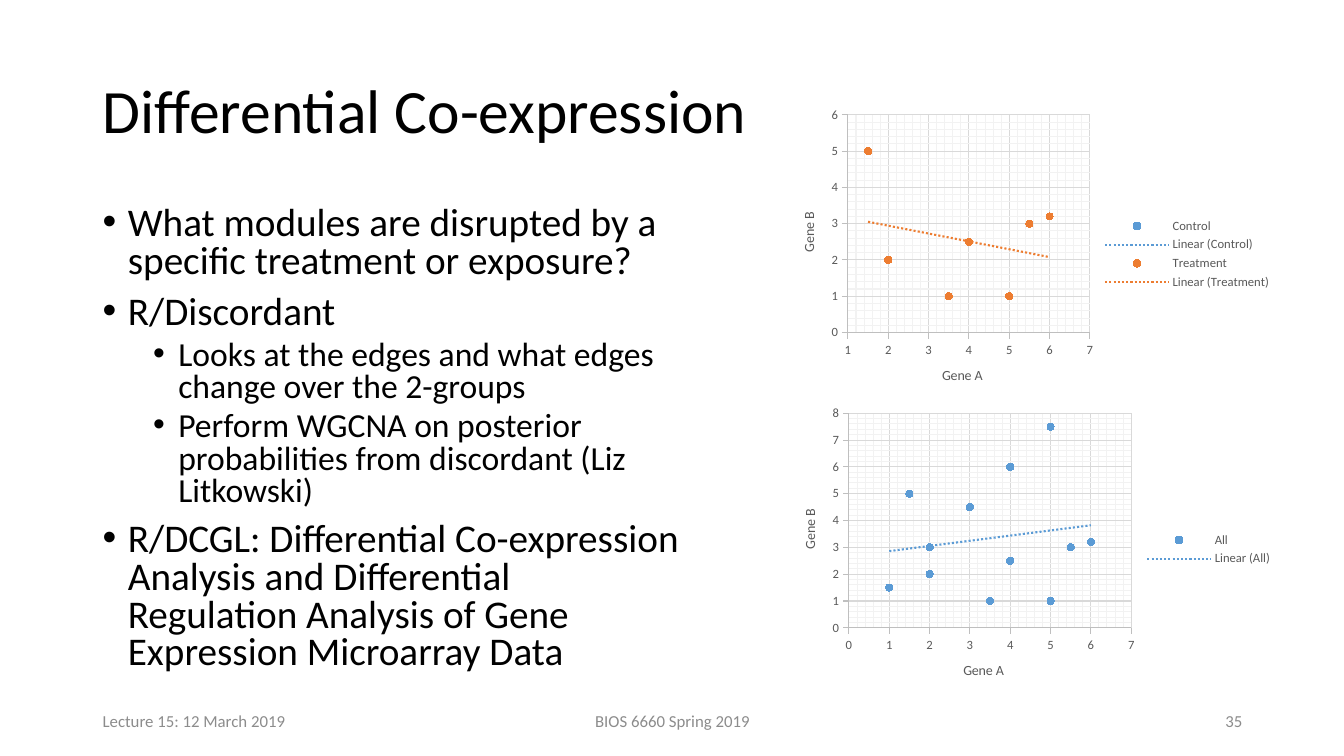
from dataclasses import dataclass

from lxml import etree
from pptx import Presentation
from pptx.chart.data import XyChartData
from pptx.dml.color import RGBColor
from pptx.enum.chart import (XL_CHART_TYPE, XL_LEGEND_POSITION,
                             XL_MARKER_STYLE, XL_TICK_MARK)
from pptx.enum.text import MSO_ANCHOR, PP_ALIGN
from pptx.oxml import parse_xml
from pptx.oxml.ns import nsdecls, qn
from pptx.util import Inches, Pt

FONT = "Calibri"
BLACK = RGBColor(0x00, 0x00, 0x00)
FOOTER_GREY = RGBColor(0x8C, 0x8C, 0x8C)
LABEL_GREY = RGBColor(0x59, 0x59, 0x59)
AXIS_GREY = RGBColor(0xBF, 0xBF, 0xBF)
GRID_GREY = RGBColor(0xD9, 0xD9, 0xD9)
MINOR_GREY = RGBColor(0xF2, 0xF2, 0xF2)
BLUE = RGBColor(0x5B, 0x9B, 0xD5)
ORANGE = RGBColor(0xED, 0x7D, 0x31)


@dataclass
class Bullet:
    text: str
    level: int = 0


@dataclass
class Footer:
    text: str
    left: float
    width: float
    align: PP_ALIGN


@dataclass
class Series:
    name: str
    color: RGBColor
    points: list[tuple[float, float]]


@dataclass
class Scatter:
    left: float
    top: float
    x_range: tuple[int, int]
    y_range: tuple[int, int]
    plot: tuple[float, float, float, float]  # x, y, w, h as chart fractions
    series: list[Series]


BULLETS = [
    Bullet("What modules are disrupted by a specific treatment or exposure?"),
    Bullet("R/Discordant"),
    Bullet("Looks at the edges and what edges change over the 2-groups", 1),
    Bullet("Perform WGCNA on posterior probabilities from discordant "
           "(Liz Litkowski)", 1),
    Bullet("R/DCGL: Differential Co-expression Analysis and Differential "
           "Regulation Analysis of Gene Expression Microarray Data"),
]
FOOTERS = [
    Footer("Lecture 15: 12 March 2019", 0.92, 3, PP_ALIGN.LEFT),
    Footer("BIOS 6660 Spring 2019", 4.42, 4.5, PP_ALIGN.CENTER),
    Footer("35", 9.42, 3, PP_ALIGN.RIGHT),
]
CONTROL = [(1, 1.5), (2, 3), (3, 4.5), (4, 6), (5, 7.5)]
TREATMENT = [(1.5, 5), (2, 2), (3.5, 1), (4, 2.5), (5.5, 3), (6, 3.2), (5, 1)]
SCATTERS = [
    Scatter(7.71, 1.02, (1, 7), (0, 6), (0.14, 0.04, 0.48, 0.72),
            [Series("Control", BLUE, CONTROL),
             Series("Treatment", ORANGE, TREATMENT)]),
    Scatter(7.72, 3.95, (0, 7), (0, 8), (0.14, 0.05, 0.56, 0.71),
            [Series("All", BLUE, TREATMENT[:5] + CONTROL + TREATMENT[5:])]),
]


def set_font(font, size: float, color: RGBColor) -> None:
    font.name, font.size, font.bold = FONT, Pt(size), False
    font.color.rgb = color


def set_line(line, color: RGBColor) -> None:
    line.color.rgb, line.width = color, Pt(0.75)


def add_box(s, left: float, top: float, width: float, height: float,
            anchor=MSO_ANCHOR.MIDDLE):
    tf = s.shapes.add_textbox(Inches(left), Inches(top),
                              Inches(width), Inches(height)).text_frame
    tf.word_wrap, tf.vertical_anchor = True, anchor
    return tf


def write(p, text: str, *, size: float, color: RGBColor = BLACK,
          align=PP_ALIGN.LEFT, spacing: float = 1.0, before: float = 0) -> None:
    p.alignment, p.line_spacing, p.space_before = align, spacing, Pt(before)
    r = p.add_run()
    r.text = text
    set_font(r.font, size, color)


def add_bullet_mark(p, level: int) -> None:
    pPr = p._p.get_or_add_pPr()
    pPr.set("marL", str(Inches(0.25 + 0.5 * level)))
    pPr.set("indent", str(Inches(-0.25)))
    etree.SubElement(pPr, qn("a:buFont")).set("typeface", "Arial")
    etree.SubElement(pPr, qn("a:buChar")).set("char", "•")


def add_bullets(s) -> None:
    tf = add_box(s, 0.92, 2, 5.92, 4.76, MSO_ANCHOR.TOP)
    for i, bullet in enumerate(BULLETS):
        p = tf.add_paragraph() if i else tf.paragraphs[0]
        p.level = bullet.level
        add_bullet_mark(p, bullet.level)
        before = (5 if bullet.level else 10) if i else 0
        write(p, bullet.text, size=24 if bullet.level else 28,
              spacing=0.8, before=before)


def line_properties(color: RGBColor, width: float, dash: str):
    return parse_xml(
        f'<c:spPr {nsdecls("c", "a")}><a:ln w="{Pt(width)}">'
        f'<a:solidFill><a:srgbClr val="{color}"/></a:solidFill>'
        f'<a:prstDash val="{dash}"/></a:ln></c:spPr>')


def format_axis(axis, title: str, limits: tuple[int, int]) -> None:
    axis.minimum_scale, axis.maximum_scale = limits
    axis.major_unit, axis.minor_unit = 1, 0.2
    axis.major_tick_mark = XL_TICK_MARK.OUTSIDE
    axis.minor_tick_mark = XL_TICK_MARK.NONE
    axis.has_major_gridlines = axis.has_minor_gridlines = True
    set_line(axis.format.line, AXIS_GREY)
    set_line(axis.major_gridlines.format.line, GRID_GREY)
    minor = axis._element.find(qn("c:minorGridlines"))
    minor.append(line_properties(MINOR_GREY, 0.75, "solid"))
    set_font(axis.tick_labels.font, 9, LABEL_GREY)
    axis.tick_labels.number_format = "General"
    axis.tick_labels.number_format_is_linked = False
    write(axis.axis_title.text_frame.paragraphs[0], title,
          size=10, color=LABEL_GREY, align=PP_ALIGN.CENTER)


def add_trend_line(series, color: RGBColor) -> None:
    trend = parse_xml(
        f'<c:trendline {nsdecls("c")}><c:trendlineType val="linear"/>'
        '<c:dispRSqr val="0"/><c:dispEq val="0"/></c:trendline>')
    trend.insert(0, line_properties(color, 1.5, "sysDot"))
    series._element.find(qn("c:xVal")).addprevious(trend)


def set_plot_layout(chart, fractions: tuple[float, float, float, float]) -> None:
    sizes = "".join(f'<c:{key} val="{value}"/>'
                    for key, value in zip("xywh", fractions))
    layout = parse_xml(
        f'<c:layout {nsdecls("c")}><c:manualLayout><c:layoutTarget val="inner"/>'
        '<c:xMode val="edge"/><c:yMode val="edge"/>'
        f'{sizes}</c:manualLayout></c:layout>')
    plot_area = chart._chartSpace.chart.plotArea
    for old in plot_area.findall(qn("c:layout")):
        plot_area.remove(old)
    plot_area.insert(0, layout)


def add_scatter(s, scatter: Scatter) -> None:
    data = XyChartData()
    for item in scatter.series:
        series = data.add_series(item.name)
        for x, y in item.points:
            series.add_data_point(x, y)
    chart = s.shapes.add_chart(
        XL_CHART_TYPE.XY_SCATTER, Inches(scatter.left), Inches(scatter.top),
        Inches(5), Inches(3), data).chart
    set_font(chart.font, 10, BLACK)
    chart.has_title = False
    chart.has_legend = True
    chart.legend.position = XL_LEGEND_POSITION.RIGHT
    chart.legend.include_in_layout = False
    set_font(chart.legend.font, 9, LABEL_GREY)
    format_axis(chart.category_axis, "Gene A", scatter.x_range)
    format_axis(chart.value_axis, "Gene B", scatter.y_range)
    set_plot_layout(chart, scatter.plot)
    chart.plots[0].vary_by_categories = False
    for series, item in zip(chart.plots[0].series, scatter.series):
        series.format.line.fill.background()
        series.marker.style, series.marker.size = XL_MARKER_STYLE.CIRCLE, 5
        series.marker.format.fill.solid()
        series.marker.format.fill.fore_color.rgb = item.color
        set_line(series.marker.format.line, item.color)
        add_trend_line(series, item.color)


def main() -> None:
    prs = Presentation()
    prs.slide_width, prs.slide_height = Inches(13.33), Inches(7.5)
    s = prs.slides.add_slide(prs.slide_layouts[6])
    write(add_box(s, 0.92, 0.4, 11.5, 1.45).paragraphs[0],
          "Differential Co-expression", size=44, spacing=0.9)
    add_bullets(s)
    for footer in FOOTERS:
        write(add_box(s, footer.left, 6.95, footer.width, 0.4).paragraphs[0],
              footer.text, size=12, color=FOOTER_GREY, align=footer.align)
    for scatter in SCATTERS:
        add_scatter(s, scatter)
    prs.save("out.pptx")


if __name__ == "__main__":
    main()
